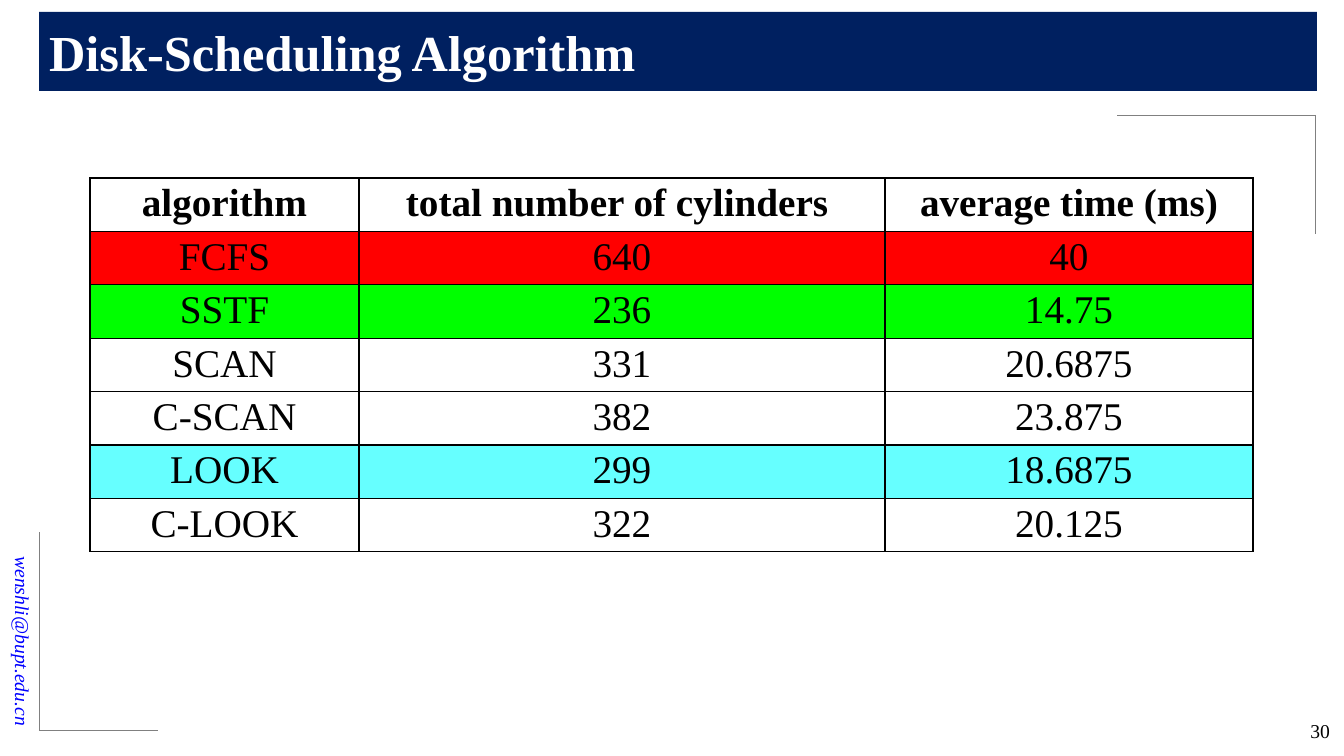
from lxml import etree
from pptx import Presentation
from pptx.dml.color import RGBColor
from pptx.enum.shapes import MSO_CONNECTOR
from pptx.enum.text import MSO_ANCHOR, MSO_AUTO_SIZE, PP_ALIGN
from pptx.oxml import parse_xml
from pptx.oxml.ns import nsdecls, qn
from pptx.util import Emu, Pt

STRAIGHT = MSO_CONNECTOR.STRAIGHT
MIDDLE, TOP = MSO_ANCHOR.MIDDLE, MSO_ANCHOR.TOP
LEFT, CENTER, RIGHT = PP_ALIGN.LEFT, PP_ALIGN.CENTER, PP_ALIGN.RIGHT
FONT = "Times New Roman"
WHITE, BLACK, NAVY, GRAY, BLUE = "FFFFFF", "000000", "002060", "808080", "0000FF"

COLUMN_WIDTHS = (269, 526, 368)
ROWS = [
    (WHITE, "algorithm", "total number of cylinders ", "average time (ms)"),
    ("FF0000", "FCFS", "640", "40"),
    ("00FF00", "SSTF", "236", "14.75"),
    (WHITE, "SCAN", "331", "20.6875"),
    (WHITE, "C-SCAN", "382", "23.875"),
    ("66FFFF", "LOOK", "299", "18.6875"),
    (WHITE, "C-LOOK", "322", "20.125"),
]


def px(length):
    return Emu(round(length * 914400 / 100.8))


def color(value):
    return RGBColor.from_string(value)


def write(frame, text, size, value, align, bold=False, italic=False):
    frame.text = text
    para = frame.paragraphs[0]
    para.alignment = align
    font = para.font
    font.name, font.size = FONT, Pt(size)
    font.bold, font.italic = bold, italic
    font.color.rgb = color(value)


def add_corner(page, x, y, across, down):
    for end_x, end_y in ((x, y + down), (x + across, y)):
        line = page.shapes.add_connector(STRAIGHT, px(x), px(y), px(end_x), px(end_y))
        line.line.color.rgb = color(GRAY)
        line.line.width = Pt(0.5)
        etree.SubElement(line.element.spPr, qn("a:effectLst"))


def add_label(page, box, text, value, anchor, italic=False, rotation=0):
    label = page.shapes.add_textbox(*map(px, box))
    label.rotation = rotation
    label.text_frame.word_wrap = True
    label.text_frame.vertical_anchor = anchor
    write(label.text_frame, text, 14, value, RIGHT, italic=italic)


def set_title(page, box, text):
    title = page.shapes.title
    title.left, title.top, title.width, title.height = map(px, box)
    title.fill.solid()
    title.fill.fore_color.rgb = color(NAVY)
    frame = title.text_frame
    frame.auto_size = MSO_AUTO_SIZE.NONE
    frame.vertical_anchor = MIDDLE
    write(frame, text, 36, WHITE, LEFT, bold=True)
    title.element.getparent().append(title.element)


def add_borders(cell):
    properties = cell._tc.get_or_add_tcPr()
    for side in "LRTB":
        properties.append(parse_xml(
            f'<a:ln{side} {nsdecls("a")} w="{Pt(1)}"><a:solidFill>'
            f'<a:srgbClr val="{BLACK}"/></a:solidFill></a:ln{side}>'))


def add_results(page, box):
    left, top, width, height = map(px, box)
    table = page.shapes.add_table(
        len(ROWS), len(COLUMN_WIDTHS), left, top, width, height).table
    table.first_row = table.horz_banding = False
    for column, column_width in zip(table.columns, COLUMN_WIDTHS):
        column.width = px(column_width)
    for row_index, (fill, *texts) in enumerate(ROWS):
        for column_index, text in enumerate(texts):
            cell = table.cell(row_index, column_index)
            cell.margin_top = cell.margin_bottom = px(4)
            add_borders(cell)
            cell.fill.solid()
            cell.fill.fore_color.rgb = color(fill)
            write(cell.text_frame, text, 28, BLACK, CENTER, bold=row_index == 0)


def main():
    deck = Presentation()
    deck.slide_width, deck.slide_height = px(1344), px(756)
    page = deck.slides.add_slide(deck.slide_layouts[5])
    add_label(page, (-110, 586, 266, 34), "wenshli@bupt.edu.cn", BLUE, MIDDLE,
              italic=True, rotation=90)
    add_corner(page, 39, 12, 198, 59)
    add_corner(page, 39, 730, 119, -198)
    add_corner(page, 1315, 115, -198, 119)
    set_title(page, (39, 12, 1278, 79), "Disk-Scheduling Algorithm")
    add_results(page, (90, 178, sum(COLUMN_WIDTHS), 374))
    add_label(page, (1228, 714, 112, 36), "30", BLACK, TOP)
    deck.save("out.pptx")


if __name__ == "__main__":
    main()
